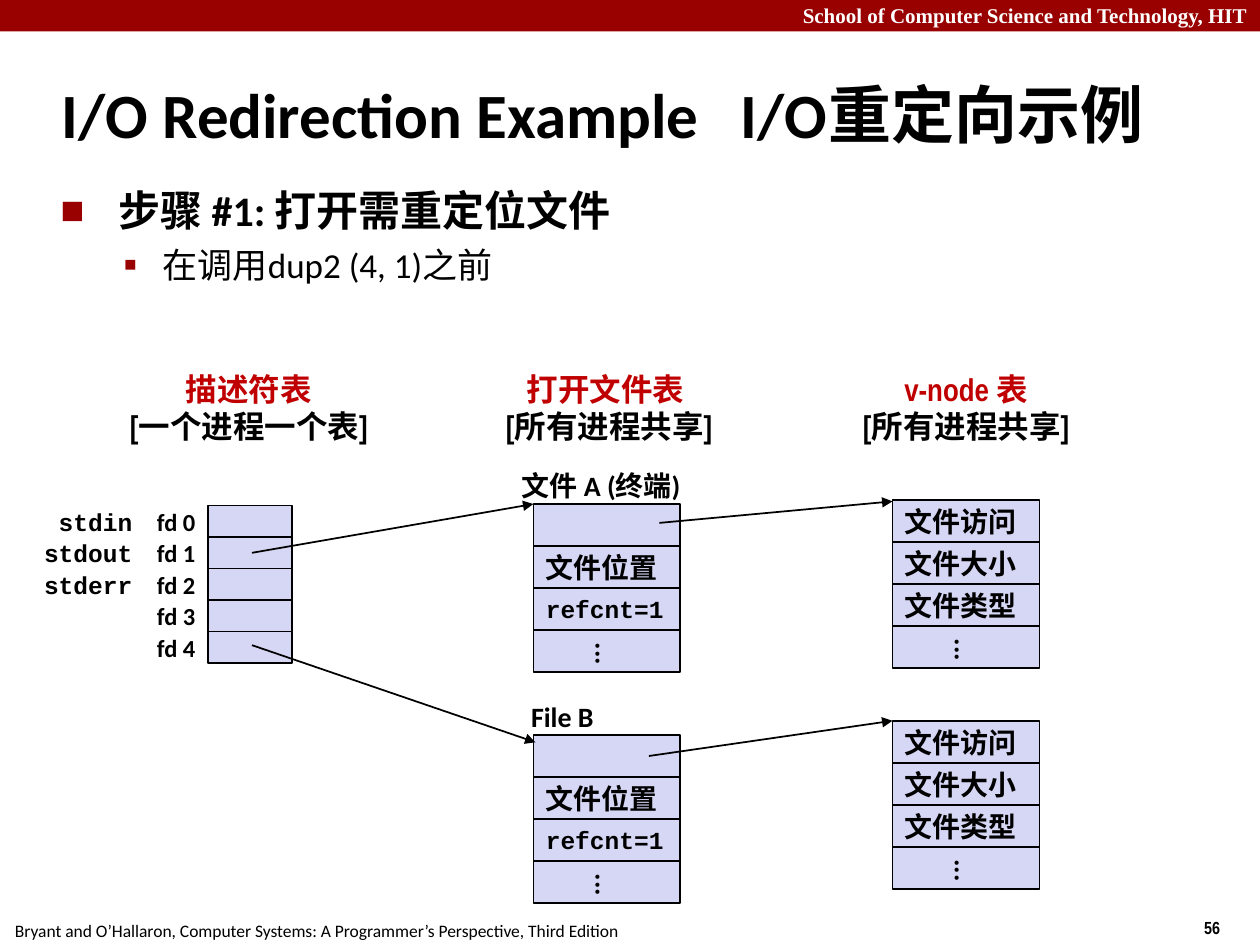
from lxml.etree import SubElement
from pptx import Presentation
from pptx.dml.color import RGBColor
from pptx.enum.shapes import MSO_CONNECTOR, MSO_SHAPE
from pptx.enum.text import MSO_ANCHOR, MSO_AUTO_SIZE, PP_ALIGN
from pptx.oxml.ns import qn
from pptx.util import Inches, Pt

COLORS = {"band": "990000", "heading": "C00000", "cell": "D6D6F5",
          "ink": "000000", "paper": "FFFFFF"}
SLIDE_WIDTH, SLIDE_HEIGHT = Inches(10), Inches(7.5)
COLUMNS, ROWS = 120, 90
ENTRY_WIDTH, ENTRY_HEIGHT = 14, 4
SLOT_WIDTH, SLOT_HEIGHT = 8, 3
DESCRIPTOR_COLUMN, FILE_COLUMN, VNODE_COLUMN = 19.8, 50.8, 85
DESCRIPTOR_ROW = 48.15
FILE_ENTRIES = ["", "文件位置", "refcnt=1", "..."]
VNODE_ENTRIES = ["文件访问", "文件大小", "文件类型", "..."]


def color(name):
    return RGBColor.from_string(COLORS[name])


def place(column, row):
    return round(SLIDE_WIDTH * column / COLUMNS), round(SLIDE_HEIGHT * row / ROWS)


def style(paragraph, size, font="Calibri", ink="ink", bold=True, align=PP_ALIGN.LEFT):
    paragraph.alignment = align
    for run in paragraph.runs:
        run.font.size = Pt(size)
        run.font.name = font
        run.font.bold = bold
        run.font.color.rgb = color(ink)


def add_label(slide, text, column, row, width, height, size,
              anchor=MSO_ANCHOR.MIDDLE, **look):
    label = slide.shapes.add_textbox(*place(column, row), *place(width, height))
    frame = label.text_frame
    frame.word_wrap = False
    frame.vertical_anchor = anchor
    frame.text = text
    style(frame.paragraphs[0], size, **look)
    return frame


def add_box(slide, column, row, width, height, fill="cell", outlined=True):
    box = slide.shapes.add_shape(MSO_SHAPE.RECTANGLE, *place(column, row), *place(width, height))
    box.shadow.inherit = False
    box.fill.solid()
    box.fill.fore_color.rgb = color(fill)
    if outlined:
        box.line.color.rgb = color("ink")
        box.line.width = Pt(1)
    else:
        box.line.fill.background()
    return box


def add_entry(slide, text, column, row):
    frame = add_box(slide, column, row, ENTRY_WIDTH, ENTRY_HEIGHT).text_frame
    if not text:
        return
    frame.word_wrap = False
    frame.vertical_anchor = MSO_ANCHOR.MIDDLE
    frame.text = text
    if text == "...":
        frame._txBody.bodyPr.set("vert", "eaVert")
        frame.margin_left = frame.margin_right = Inches(0.05)
        frame.margin_top = frame.margin_bottom = Inches(0.1)
    if text.startswith("refcnt"):
        style(frame.paragraphs[0], 14, font="Courier New")
    else:
        style(frame.paragraphs[0], 16)


def add_record(slide, entries, column, row):
    for index, text in enumerate(entries):
        add_entry(slide, text, column, row + index * ENTRY_HEIGHT)


def add_arrow(slide, start, end):
    arrow = slide.shapes.add_connector(MSO_CONNECTOR.STRAIGHT, *place(*start), *place(*end))
    arrow.line.color.rgb = color("ink")
    arrow.line.width = Pt(1)
    properties = arrow._element.spPr
    SubElement(properties.find(qn("a:ln")), qn("a:tailEnd"), type="triangle")
    SubElement(properties, qn("a:effectLst"))


def add_heading(slide, name, scope, center, width):
    frame = add_label(slide, name, center - width / 2, 34.6, width, 8.4, 18,
                      font="Arial Narrow", ink="heading", align=PP_ALIGN.CENTER)
    second = frame.add_paragraph()
    second.text = scope
    style(second, 18, font="Arial Narrow", align=PP_ALIGN.CENTER)


def set_indent(paragraph, margin, first):
    properties = paragraph._p.get_or_add_pPr()
    properties.set("marL", str(Inches(margin)))
    properties.set("indent", str(Inches(first)))
    return properties


def set_bullet(paragraph, mark, percent, margin, hanging, before):
    paragraph.space_before = Pt(before)
    properties = set_indent(paragraph, margin, -hanging)
    tint = SubElement(properties, qn("a:buClr"))
    SubElement(tint, qn("a:srgbClr"), val=COLORS["band"])
    SubElement(properties, qn("a:buSzPct"), val=str(percent * 1000))
    SubElement(properties, qn("a:buFont"), typeface="Calibri")
    SubElement(properties, qn("a:buChar"), char=mark)


def add_frame(slide):
    add_box(slide, 0, 0, COLUMNS, 3, fill="band", outlined=False)
    add_label(slide, "56", 113.5, 86.75, 9, 3.25, 10, anchor=MSO_ANCHOR.TOP,
              font="Arial Narrow")
    add_label(slide, "Bryant and O’Hallaron, Computer Systems: A Programmer’s Perspective, "
              "Third Edition", 0.25, 87, 60, 3.25, 10, anchor=MSO_ANCHOR.TOP, bold=False)
    add_label(slide, "School of Computer Science and Technology, HIT", 0, -0.35, COLUMNS, 3.6,
              12, anchor=MSO_ANCHOR.TOP, font="Times New Roman", ink="paper",
              align=PP_ALIGN.RIGHT)


def fill_title(slide):
    title = slide.shapes.title
    title.left, title.top = place(4.7, 5.75)
    title.width, title.height = place(107.25, 10)
    frame = title.text_frame
    frame.text = "I/O Redirection Example   I/O重定向示例"
    frame.auto_size = MSO_AUTO_SIZE.NONE
    frame.vertical_anchor = MSO_ANCHOR.MIDDLE
    style(frame.paragraphs[0], 36)
    set_indent(frame.paragraphs[0], 0.13, -0.13)


def add_steps(slide):
    frame = add_label(slide, " 步骤 #1: 打开需重定位文件", 4.6, 17, 112.2, 13, 24,
                      anchor=MSO_ANCHOR.TOP)
    frame.word_wrap = True
    set_bullet(frame.paragraphs[0], "■", 60, 0.38, 0.38, 6)
    detail = frame.add_paragraph()
    detail.text = "在调用dup2 (4, 1)之前"
    detail.level = 1
    style(detail, 20, bold=False)
    set_bullet(detail, "▪", 110, 0.81, 0.31, 5)


def add_descriptors(slide):
    for index in range(5):
        row = DESCRIPTOR_ROW + index * SLOT_HEIGHT
        add_box(slide, DESCRIPTOR_COLUMN, row, SLOT_WIDTH, SLOT_HEIGHT)
        add_label(slide, f"fd {index}", DESCRIPTOR_COLUMN - SLOT_WIDTH, row,
                  SLOT_WIDTH, SLOT_HEIGHT, 14, align=PP_ALIGN.RIGHT)
    for index, stream in enumerate(["stdin", "stdout", "stderr"]):
        add_label(slide, stream, 3, DESCRIPTOR_ROW - 0.5 + index * SLOT_HEIGHT, 10.8, 4, 14,
                  font="Courier New", align=PP_ALIGN.RIGHT)


def main():
    presentation = Presentation()
    presentation.slide_width, presentation.slide_height = SLIDE_WIDTH, SLIDE_HEIGHT
    slide = presentation.slides.add_slide(presentation.slide_layouts[5])
    add_frame(slide)
    fill_title(slide)
    add_steps(slide)
    add_heading(slide, "描述符表", "[一个进程一个表]", 23.7, 29)
    add_heading(slide, "打开文件表 ", "[所有进程共享]", 58, 26)
    add_heading(slide, "v-node 表", "[所有进程共享]", 92, 26)
    add_descriptors(slide)
    add_label(slide, "文件 A (终端)", 48.5, 44, 20, 4.4, 16)
    add_label(slide, "File B", 49.4, 66, 10, 4.4, 16)
    for file_row, vnode_row in [(48, 47.65), (70, 68.65)]:
        add_record(slide, FILE_ENTRIES, FILE_COLUMN, file_row)
        add_record(slide, VNODE_ENTRIES, VNODE_COLUMN, vnode_row)
    for start, end in [((24, 52.65), (FILE_COLUMN, 48)),
                       ((24, 61.45), (51, 70.7)),
                       ((62.8, 49.8), (VNODE_COLUMN, 47.75)),
                       ((61.8, 72), (VNODE_COLUMN, 68.65))]:
        add_arrow(slide, start, end)
    presentation.save("out.pptx")


if __name__ == "__main__":
    main()
